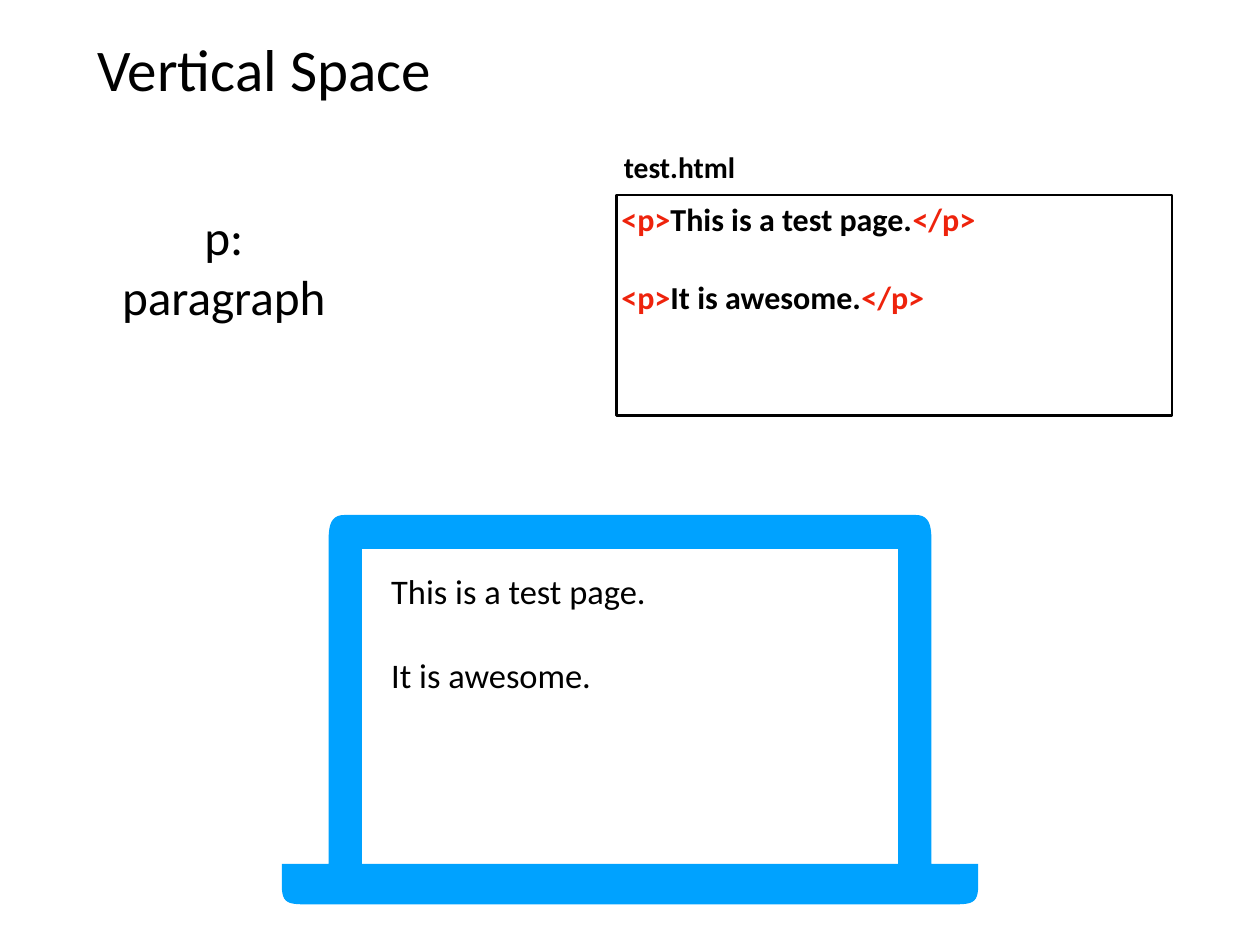
from pptx import Presentation
from pptx.dml.color import RGBColor
from pptx.enum.shapes import MSO_SHAPE
from pptx.enum.text import MSO_ANCHOR, PP_ALIGN
from pptx.util import Pt

RECT = MSO_SHAPE.RECTANGLE
TOP, MIDDLE = MSO_ANCHOR.TOP, MSO_ANCHOR.MIDDLE
LEFT, CENTER = PP_ALIGN.LEFT, PP_ALIGN.CENTER

FONT = "Calibri"
INSET = 4
LINE = 1.22  # line height of the font, relative to its size
COLORS = {"text": "000000", "tag": "EE230C", "laptop": "00A2FF", "paper": "FFFFFF"}


def rgb(name):
    return RGBColor.from_string(COLORS[name])


def write(sp, paragraphs, size, bold=False, anchor=TOP, align=LEFT, wrap=True, gap=0):
    """Fill a shape with paragraphs, each a list of (text, colour) runs."""
    tf = sp.text_frame
    tf.word_wrap = wrap
    tf.vertical_anchor = anchor
    tf.margin_left = tf.margin_right = tf.margin_top = tf.margin_bottom = Pt(INSET)
    for i, runs in enumerate(paragraphs):
        p = tf.add_paragraph() if i else tf.paragraphs[0]
        p.alignment = align
        if i:
            p.space_before = Pt(gap)
        for text, color in runs:
            r = p.add_run()
            r.text = text
            r.font.name = FONT
            r.font.size = Pt(size)
            r.font.bold = bold
            r.font.color.rgb = rgb(color)


def add_text(slide, box, lines, size, **style):
    sp = slide.shapes.add_textbox(*map(Pt, box))
    write(sp, [[(line, "text")] for line in lines], size, **style)


def add_code(slide, box, file_name, sentences):
    """A framed HTML listing with its file name above the frame."""
    x, y, w, h = box
    sp = slide.shapes.add_shape(RECT, *map(Pt, box))
    sp.shadow.inherit = False
    sp.fill.solid()
    sp.fill.fore_color.rgb = rgb("paper")
    sp.line.color.rgb = rgb("text")
    sp.line.width = Pt(2)
    size = 26
    code = [[("<p>", "tag"), (s, "text"), ("</p>", "tag")] for s in sentences]
    write(sp, code, size, bold=True, gap=size * LINE)
    add_text(slide, (x + 2, y - 41, 122, 36), [file_name], 24,
             bold=True, anchor=MIDDLE, wrap=False)


def curve(a, b, c, d, steps=12):
    """Points on a cubic Bezier curve from a to d."""
    points = []
    for i in range(steps + 1):
        t = i / steps
        u = 1 - t
        weights = (u ** 3, 3 * u * u * t, 3 * u * t * t, t ** 3)
        points.append(tuple(sum(k * q[n] for k, q in zip(weights, (a, b, c, d)))
                            for n in (0, 1)))
    return points


def add_laptop(slide, box, sentences):
    """A laptop outline with a cut-out screen that shows the sentences."""
    x, y, w, h = box
    lid, base, bezel_x, bezel_y = 38, 283.5, 65, 27.5
    half = curve((lid + 13, 0), (lid, 0), (lid, 11.5), (lid, 25))
    half += [(lid, base), (0, base)]
    half += curve((0, h - 16), (0, h), (5, h), (24, h))
    outline = half + [(w - px, py) for px, py in reversed(half)]
    screen = [(bezel_x, bezel_y), (w - bezel_x, bezel_y),
              (w - bezel_x, base), (bezel_x, base)]

    outline, screen = ([(Pt(x + px), Pt(y + py)) for px, py in part]
                       for part in (outline, screen))
    fb = slide.shapes.build_freeform(*outline[0])
    fb.add_line_segments(outline[1:], close=True)
    fb.move_to(*screen[0])
    fb.add_line_segments(screen[1:], close=True)
    sp = fb.convert_to_shape()
    sp.shadow.inherit = False
    sp.fill.solid()
    sp.fill.fore_color.rgb = rgb("laptop")
    sp.line.fill.background()

    size = 28
    add_text(slide, (x + bezel_x + 20, y + bezel_y + 13.5, 405, 104),
             sentences, size, gap=size * LINE)


def main():
    prs = Presentation()
    prs.slide_width, prs.slide_height = Pt(1024), Pt(768)
    slide = prs.slides.add_slide(prs.slide_layouts[6])
    sentences = ["This is a test page.", "It is awesome."]
    add_text(slide, (75, 20, 874, 71), ["Vertical Space"], 48, anchor=MIDDLE)
    add_laptop(slide, (229, 418.5, 566, 316.5), sentences)
    add_code(slide, (501, 158.5, 451.5, 179), "test.html", sentences)
    add_text(slide, (84, 163, 196, 106), ["p:", "paragraph"], 40,
             anchor=MIDDLE, align=CENTER, wrap=False)
    prs.save("out.pptx")


if __name__ == "__main__":
    main()
